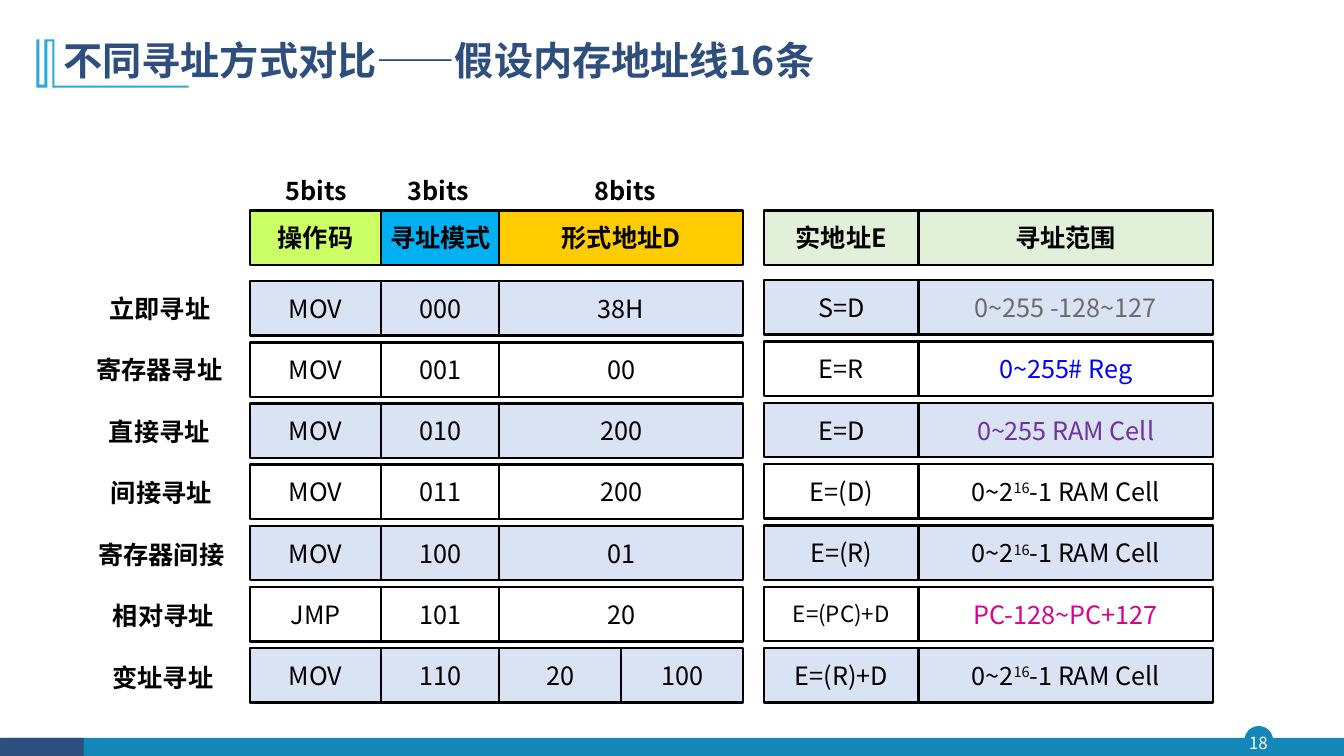
from dataclasses import dataclass
from typing import Optional

from lxml.etree import SubElement
from pptx import Presentation
from pptx.dml.color import RGBColor
from pptx.enum.shapes import MSO_SHAPE
from pptx.enum.text import MSO_ANCHOR, PP_ALIGN
from pptx.oxml.ns import qn
from pptx.util import Inches, Pt

BODY_FONT = "Noto Sans CJK SC"
TITLE_FONT = "Noto Sans CJK JP"
BLACK, WHITE, NAVY, TEAL, CYAN = "000000", "FFFFFF", "2E4E7E", "1387B7", "28A9D6"
BAND, GREEN = "DAE3F3", "E2F0D9"
ROW_HEIGHT = 0.54
HEADER_TOP = 2.09
CODE_TOP, CODE_STEP = 2.79, 3.64 / 6
RESULT_TOP, RESULT_STEP = 2.78, 3.65 / 6
LABEL_STEP = 0.61


@dataclass
class Box:
    left: float
    top: float
    width: float
    height: float


@dataclass
class Style:
    size: float = 18
    color: str = BLACK
    bold: bool = False
    font: str = BODY_FONT
    align: PP_ALIGN = PP_ALIGN.CENTER
    anchor: MSO_ANCHOR = MSO_ANCHOR.MIDDLE


@dataclass
class Column:
    left: float
    width: float
    title: str
    fill: str
    bits: str = ""
    bits_left: float = 0


@dataclass
class Mode:
    label: str
    label_left: float
    label_width: float
    opcode: str
    code: str
    operands: tuple[str, ...]
    address: str
    reach: str
    reach_color: str = BLACK
    address_size: float = 18


COLUMNS = [
    Column(2.48, 1.3, "操作码", "CCFF66", "5bits", 2.72),
    Column(3.78, 1.18, "寻址模式", "00B0F0", "3bits", 3.93),
    Column(4.95, 2.42, "形式地址D", "FFCC00", "8bits", 5.79),
    Column(9.11, 2.92, "寻址范围", GREEN),
    Column(7.58, 1.53, "实地址E", GREEN),
]

MODES = [
    Mode("立即寻址", 0.81, 1.55, "MOV", "000", ("38H",), "S=D", "0~255 -128~127", "6B6B6B"),
    Mode("寄存器寻址", 0.83, 1.5, "MOV", "001", ("00",), "E=R", "0~255# Reg", "0000FF"),
    Mode("直接寻址", 0.92, 1.32, "MOV", "010", ("200",), "E=D", "0~255 RAM Cell", "7030A0"),
    Mode("间接寻址", 0.9, 1.4, "MOV", "011", ("200",), "E=(D)", "0~2^16^-1 RAM Cell"),
    Mode("寄存器间接", 0.83, 1.54, "MOV", "100", ("01",), "E=(R)", "0~2^16^-1 RAM Cell"),
    Mode("相对寻址", 0.97, 1.3, "JMP", "101", ("20",), "E=(PC)+D", "PC-128~PC+127", "D60093", 16),
    Mode("变址寻址", 0.99, 1.25, "MOV", "110", ("20", "100"), "E=(R)+D", "0~2^16^-1 RAM Cell"),
]

BRACKET = [
    (0.54, 0.39), (0.54, 0.85), (1.87, 0.85), (1.87, 0.87), (0.52, 0.87), (0.52, 0.41),
    (0.47, 0.41), (0.47, 0.87), (0.36, 0.87), (0.36, 0.39), (0.39, 0.39), (0.39, 0.84),
    (0.44, 0.84), (0.44, 0.39),
]


def rgb(color: str) -> RGBColor:
    return RGBColor.from_string(color)


def write(sp, text: str, style: Style) -> None:
    tf = sp.text_frame
    tf.word_wrap = False
    tf.vertical_anchor = style.anchor
    p = tf.paragraphs[0]
    p.alignment = style.align
    for i, part in enumerate(text.split("^")):
        r = p.add_run()
        r.text = part
        r.font.size = Pt(style.size)
        r.font.bold = style.bold
        r.font.color.rgb = rgb(style.color)
        r.font.name = style.font
        rPr = r._r.get_or_add_rPr()
        SubElement(rPr, qn("a:ea")).set("typeface", style.font)
        if i % 2:
            rPr.set("baseline", "30000")


def paint(sp, fill: str, line: Optional[str], width: float = 1.75) -> None:
    sp.shadow.inherit = False
    sp.fill.solid()
    sp.fill.fore_color.rgb = rgb(fill)
    if line:
        sp.line.color.rgb = rgb(line)
        sp.line.width = Pt(width)
    else:
        sp.line.fill.background()


def add_shape(s, kind: MSO_SHAPE, box: Box, fill: str, line: Optional[str], width: float = 1.75):
    sp = s.shapes.add_shape(
        kind, Inches(box.left), Inches(box.top), Inches(box.width), Inches(box.height))
    paint(sp, fill, line, width)
    return sp


def add_cell(s, box: Box, text: str, fill: str, style: Style, line: str = BLACK) -> None:
    write(add_shape(s, MSO_SHAPE.RECTANGLE, box, fill, line), text, style)


def add_text(s, box: Box, text: str, style: Style):
    sp = s.shapes.add_textbox(
        Inches(box.left), Inches(box.top), Inches(box.width), Inches(box.height))
    write(sp, text, style)
    return sp


def add_frame(s) -> None:
    add_shape(s, MSO_SHAPE.OVAL, Box(12.35, 7.21, 0.27, 0.27), TEAL, TEAL, 1)
    add_shape(s, MSO_SHAPE.RECTANGLE, Box(0.01, 7.32, 13.32, 0.19), TEAL, None)
    add_shape(s, MSO_SHAPE.RECTANGLE, Box(0, 7.32, 0.83, 0.19), NAVY, None)
    number = add_text(s, Box(12.32, 7.21, 0.32, 0.31), "18", Style(12, WHITE))
    tf = number.text_frame
    tf.margin_left = tf.margin_right = tf.margin_top = tf.margin_bottom = 0

    points = [(Inches(x), Inches(y)) for x, y in BRACKET]
    outline = s.shapes.build_freeform(*points[0], scale=1.0)
    outline.add_line_segments(points[1:], close=True)
    paint(outline.convert_to_shape(), CYAN, None)

    title = add_text(
        s, Box(0.53, 0.28, 11.5, 0.68), "不同寻址方式对比——假设内存地址线16条",
        Style(28, NAVY, True, TITLE_FONT, PP_ALIGN.LEFT))
    title.text_frame.word_wrap = True
    title.text_frame.paragraphs[0].line_spacing = 0.9


def add_headers(s) -> None:
    bold = Style(bold=True)
    for column in COLUMNS:
        box = Box(column.left, HEADER_TOP, column.width, ROW_HEIGHT)
        add_cell(s, box, column.title, column.fill, bold)
        if column.bits:
            add_text(s, Box(column.bits_left, 1.69, 0.83, 0.4), column.bits,
                     Style(bold=True, anchor=MSO_ANCHOR.TOP))


def add_mode(s, i: int, mode: Mode) -> None:
    opcode, code, operand, reach, address = COLUMNS
    fill = WHITE if i % 2 else BAND
    top = CODE_TOP + i * CODE_STEP
    add_cell(s, Box(opcode.left, top, opcode.width, ROW_HEIGHT), mode.opcode, fill, Style())
    add_cell(s, Box(code.left, top, code.width, ROW_HEIGHT), mode.code, fill, Style())
    width = operand.width / len(mode.operands)
    for j, value in enumerate(mode.operands):
        add_cell(s, Box(operand.left + j * width, top, width, ROW_HEIGHT), value, fill, Style())

    label_box = Box(mode.label_left, CODE_TOP + i * LABEL_STEP, mode.label_width, ROW_HEIGHT)
    add_cell(s, label_box, mode.label, WHITE, Style(bold=True), WHITE)

    top = RESULT_TOP + i * RESULT_STEP
    add_cell(s, Box(reach.left, top, reach.width, ROW_HEIGHT), mode.reach, fill,
             Style(color=mode.reach_color))
    add_cell(s, Box(address.left, top, address.width, ROW_HEIGHT), mode.address, fill,
             Style(mode.address_size))


def main() -> None:
    prs = Presentation()
    prs.slide_width, prs.slide_height = Inches(13.33), Inches(7.5)
    s = prs.slides.add_slide(prs.slide_layouts[6])
    add_frame(s)
    for i, mode in enumerate(MODES):
        add_mode(s, i, mode)
    add_headers(s)
    prs.save("out.pptx")


if __name__ == "__main__":
    main()
